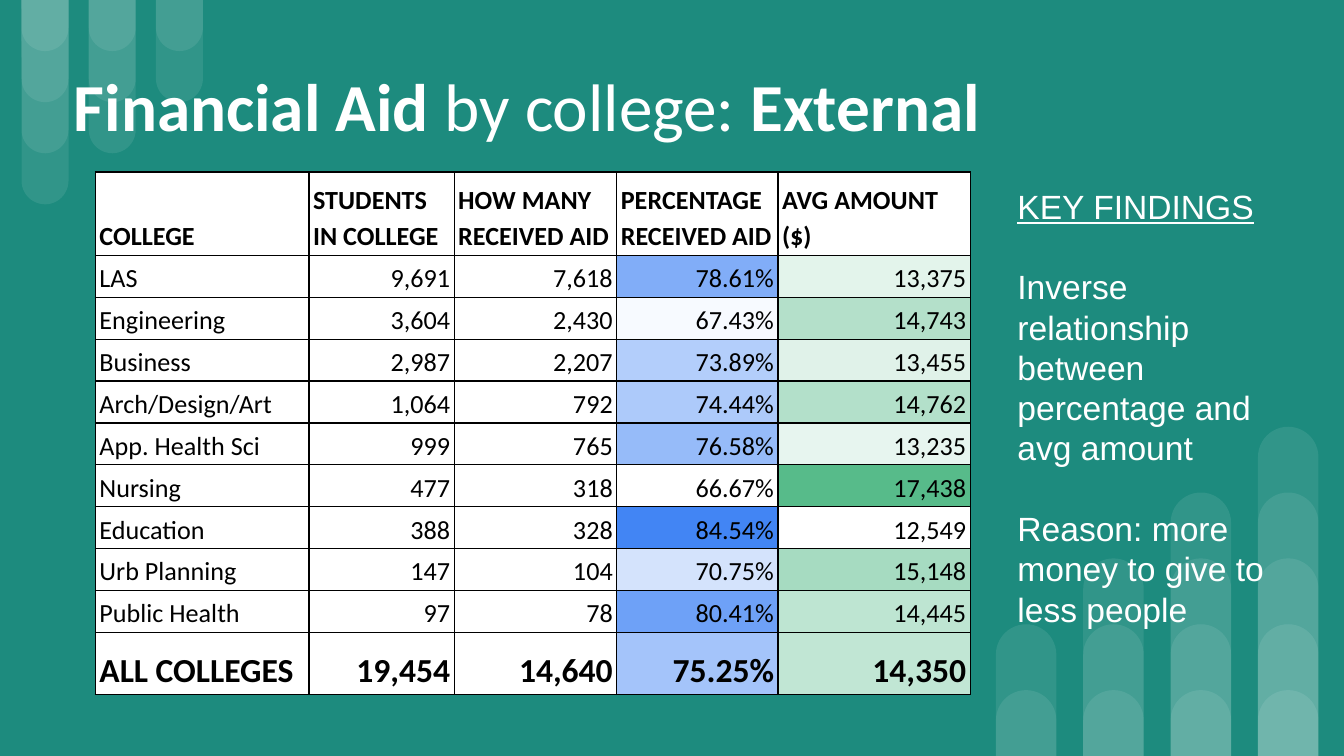
from dataclasses import dataclass

from lxml.etree import SubElement
from pptx import Presentation
from pptx.dml.color import RGBColor
from pptx.enum.shapes import MSO_SHAPE as Preset
from pptx.enum.text import MSO_ANCHOR as Anchor, MSO_AUTO_SIZE as AutoSize, PP_ALIGN as Align
from pptx.oxml.ns import qn
from pptx.util import Inches, Pt


@dataclass(frozen=True)
class Theme:
    teal: str = "1D8B7E"
    white: str = "FFFFFF"
    black: str = "000000"
    blue: str = "4285F4"
    green: str = "57BB8A"
    bar_opacity: int = 9
    heading_font: str = "Calibri"
    body_font: str = "Arial"
    title_size: int = 36
    body_size: int = 18
    cell_size: int = 14
    total_size: int = 18
    border_width: float = 0.75


SLIDE_WIDTH = 10
SLIDE_HEIGHT = SLIDE_WIDTH * 9 / 16
HEADERS = ["COLLEGE", "STUDENTS\nIN COLLEGE", "HOW MANY\nRECEIVED AID",
           "PERCENTAGE\nRECEIVED AID", "AVG AMOUNT ($)"]
COLLEGES = [
    ("LAS", 9691, 7618, 13375),
    ("Engineering", 3604, 2430, 14743),
    ("Business", 2987, 2207, 13455),
    ("Arch/Design/Art", 1064, 792, 14762),
    ("App. Health Sci", 999, 765, 13235),
    ("Nursing", 477, 318, 17438),
    ("Education", 388, 328, 12549),
    ("Urb Planning", 147, 104, 15148),
    ("Public Health", 97, 78, 14445),
    ("ALL COLLEGES", 19454, 14640, 14350),
]
COLUMN_WIDTHS = [1.59, 1.08, 1.21, 1.2, 1.43]
ROW_HEIGHTS = [0.62] + [0.31] * 9 + [0.46]


def write(para, text, *, font, size, color, bold=False, underline=False):
    span = para.add_run()
    span.text = text
    span.font.name = font
    span.font.size = Pt(size)
    span.font.color.rgb = RGBColor.from_string(color)
    span.font.bold = bold
    span.font.underline = underline


def color_scale(values, top_color):
    low, high = min(values), max(values)
    top = RGBColor.from_string(top_color)
    return [
        str(RGBColor(*(round(255 - (255 - part) * (value - low) / (high - low)) for part in top)))
        for value in values
    ]


class SlideBuilder:
    def __init__(self, page, theme):
        self.page = page
        self.theme = theme
        page.background.fill.solid()
        page.background.fill.fore_color.rgb = RGBColor.from_string(theme.teal)

    def bar(self, left, top, width, height, rotation=0):
        bar = self.page.shapes.add_shape(
            Preset.ROUND_2_SAME_RECTANGLE,
            Inches(left), Inches(top), Inches(width), Inches(height))
        bar.adjustments[0] = 0.5
        bar.adjustments[1] = 0
        bar.rotation = rotation
        bar.shadow.inherit = False
        bar.line.fill.background()
        bar.fill.solid()
        bar.fill.fore_color.rgb = RGBColor.from_string(self.theme.white)
        color = bar.element.spPr.find(qn("a:solidFill"))[0]
        SubElement(color, qn("a:alpha"), val=str(self.theme.bar_opacity * 1000))

    def placeholder(self, box, left, top, width, height):
        box.left, box.top = Inches(left), Inches(top)
        box.width, box.height = Inches(width), Inches(height)
        box.element.getparent().append(box.element)
        frame = box.text_frame
        frame.word_wrap = True
        frame.auto_size = AutoSize.NONE
        frame.vertical_anchor = Anchor.TOP
        frame.margin_left = frame.margin_right = Inches(0.1)
        frame.margin_top = frame.margin_bottom = Inches(0.1)
        return frame

    def title(self, parts):
        frame = self.placeholder(self.page.shapes.title, 0.45, 0.38, 9.1, 0.83)
        para = frame.paragraphs[0]
        para.alignment = Align.LEFT
        for text, bold in parts:
            write(para, text, font=self.theme.heading_font, size=self.theme.title_size,
                  color=self.theme.white, bold=bold)

    def findings(self, heading, points):
        frame = self.placeholder(self.page.placeholders[1], 7.47, 1.28, 2.3, 3.19)
        for index, text in enumerate([heading, *points]):
            para = frame.add_paragraph() if index else frame.paragraphs[0]
            para.alignment = Align.LEFT
            para.line_spacing = 1.0
            para.space_before = Pt(21.6 if index else 0)
            para.space_after = Pt(0)
            properties = para._p.get_or_add_pPr()
            properties.set("marL", "0")
            properties.set("indent", "0")
            SubElement(properties, qn("a:buNone"))
            write(para, text, font=self.theme.body_font, size=self.theme.body_size,
                  color=self.theme.white, underline=index == 0)

    def border(self, cell):
        properties = cell._tc.get_or_add_tcPr()
        for side in ("lnL", "lnR", "lnT", "lnB"):
            line = SubElement(properties, qn(f"a:{side}"), w=str(Pt(self.theme.border_width)))
            fill = SubElement(line, qn("a:solidFill"))
            SubElement(fill, qn("a:srgbClr"), val=self.theme.black)

    def cell(self, cell, text, fill, align, size, bold):
        self.border(cell)
        cell.fill.solid()
        cell.fill.fore_color.rgb = RGBColor.from_string(fill)
        cell.vertical_anchor = Anchor.BOTTOM
        cell.margin_left = cell.margin_right = Inches(0.03)
        cell.margin_top = cell.margin_bottom = Inches(0.02)
        frame = cell.text_frame
        for index, line in enumerate(text.split("\n")):
            para = frame.add_paragraph() if index else frame.paragraphs[0]
            para.alignment = align
            para.line_spacing = 1.15
            write(para, line, font=self.theme.heading_font, size=size,
                  color=self.theme.black, bold=bold)

    def table(self, rows, fills, left, top):
        table = self.page.shapes.add_table(
            len(rows), len(COLUMN_WIDTHS), Inches(left), Inches(top),
            Inches(sum(COLUMN_WIDTHS)), Inches(sum(ROW_HEIGHTS))).table
        table.first_row = table.horz_banding = False
        for column, width in zip(table.columns, COLUMN_WIDTHS):
            column.width = Inches(width)
        last = len(rows) - 1
        for r, (texts, colors) in enumerate(zip(rows, fills)):
            table.rows[r].height = Inches(ROW_HEIGHTS[r])
            size = self.theme.total_size if r == last else self.theme.cell_size
            for c, (text, color) in enumerate(zip(texts, colors)):
                align = Align.RIGHT if r and c else Align.LEFT
                self.cell(table.cell(r, c), text, color, align, size, r in (0, last))


def main():
    deck = Presentation()
    deck.slide_width, deck.slide_height = Inches(SLIDE_WIDTH), Inches(SLIDE_HEIGHT)
    theme = Theme()
    slide = SlideBuilder(deck.slides.add_slide(deck.slide_layouts[1]), theme)

    for column, count in enumerate((4, 3, 2)):
        for level in range(1, count + 1):
            slide.bar(0.16 + 0.5 * column, 0, 0.35, 0.38 * level, rotation=180)
    for column, count in enumerate((2, 3, 4, 5)):
        for level in range(1, count + 1):
            height = 0.49 * level
            slide.bar(7.41 + 0.65 * column, SLIDE_HEIGHT - height, 0.45, height)

    slide.title([("Financial Aid ", True), ("by college: ", False), ("External", True)])

    shares = [received / students for _, students, received, _ in COLLEGES]
    amounts = [amount for *_, amount in COLLEGES]
    rows = [HEADERS] + [
        [name, f"{students:,}", f"{received:,}", f"{share:.2%}", f"{amount:,}"]
        for (name, students, received, amount), share in zip(COLLEGES, shares)
    ]
    fills = [[theme.white] * 5] + [
        [theme.white] * 3 + [blue, green]
        for blue, green in zip(color_scale(shares, theme.blue), color_scale(amounts, theme.green))
    ]
    slide.table(rows, fills, 0.71, 1.28)

    slide.findings("KEY FINDINGS", [
        "Inverse relationship between percentage and avg amount",
        "Reason: more money to give to less people",
    ])
    deck.save("out.pptx")


if __name__ == "__main__":
    main()
